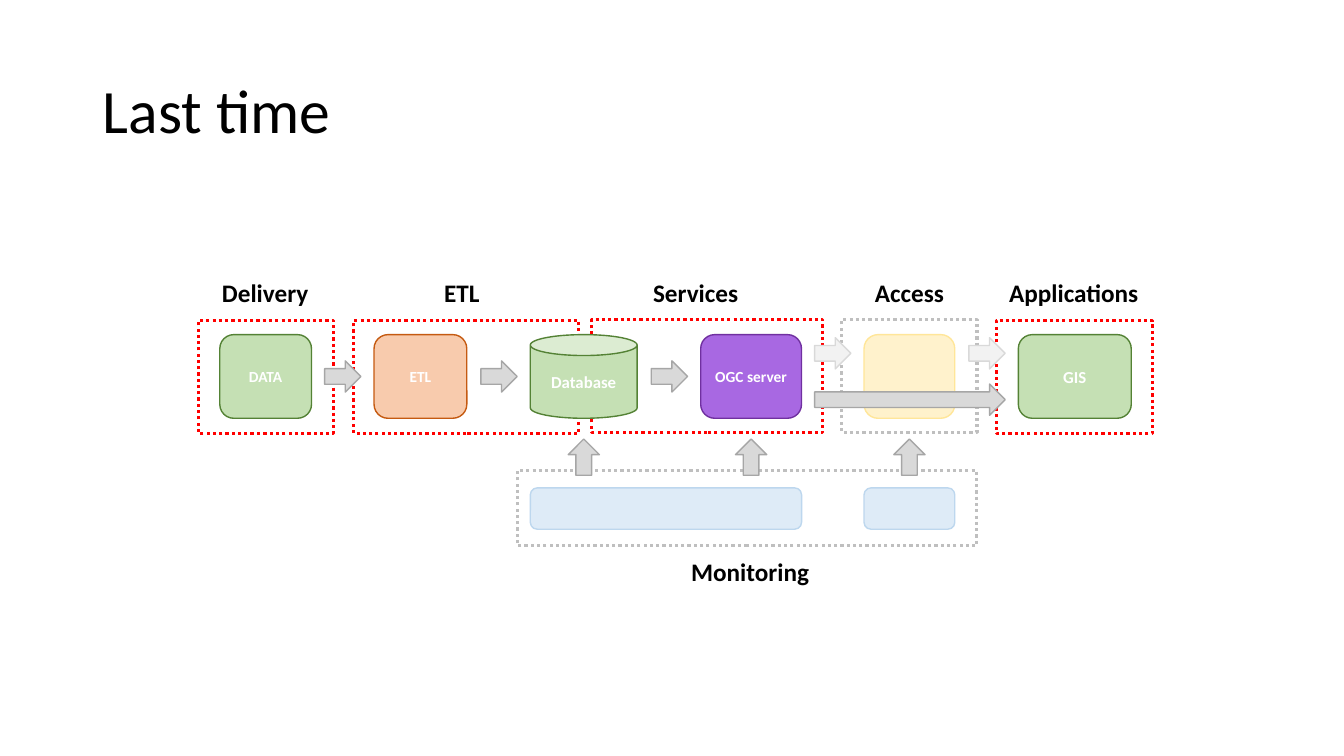
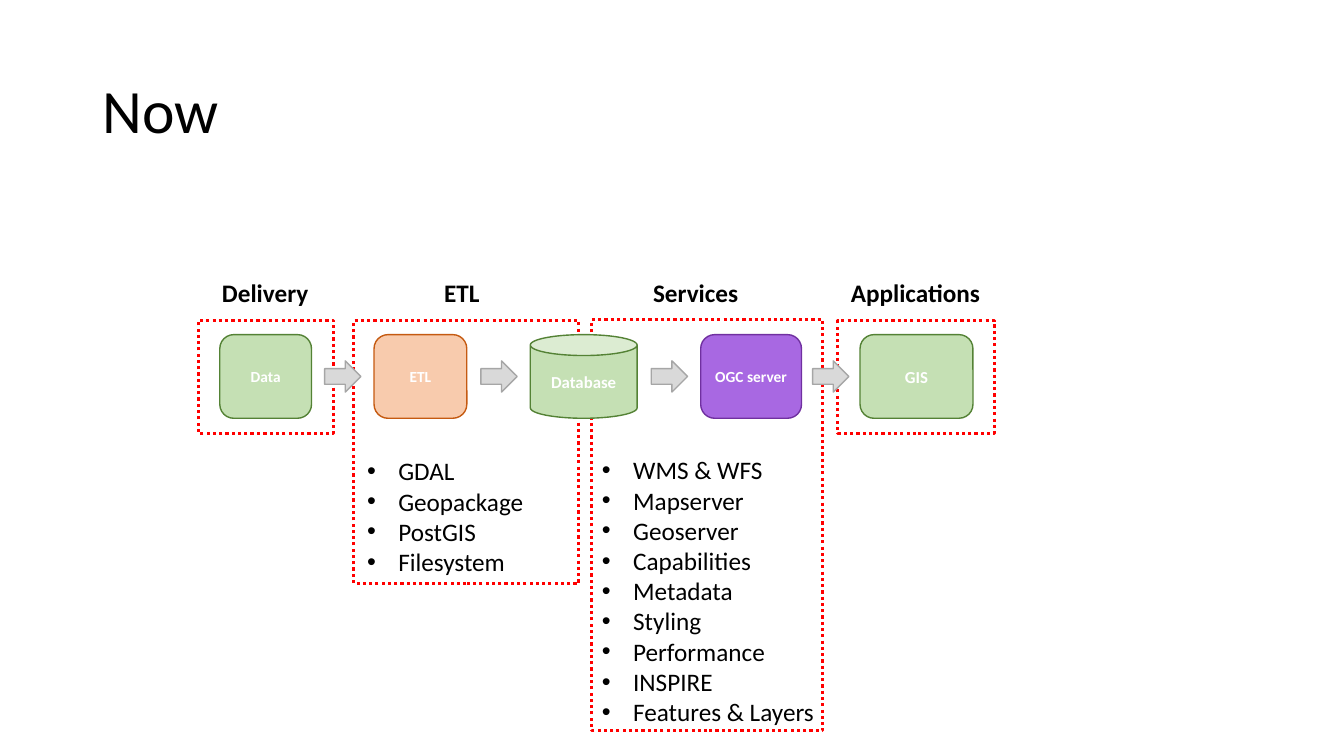
from pptx import Presentation
from pptx.dml.color import RGBColor
from pptx.enum.dml import MSO_LINE
from pptx.enum.shapes import MSO_SHAPE
from pptx.enum.text import MSO_ANCHOR, MSO_AUTO_SIZE, PP_ALIGN
from pptx.util import Inches, Pt
from lxml import etree

RECT, ROUND = MSO_SHAPE.RECTANGLE, MSO_SHAPE.ROUNDED_RECTANGLE
CAN, ARROW = MSO_SHAPE.CAN, MSO_SHAPE.RIGHT_ARROW
DOTS = MSO_LINE.ROUND_DOT
LEFT, CENTER = PP_ALIGN.LEFT, PP_ALIGN.CENTER
TOP, MIDDLE = MSO_ANCHOR.TOP, MSO_ANCHOR.MIDDLE
FIXED = MSO_AUTO_SIZE.NONE

FONT = "Calibri"
BLACK, WHITE, RED, GREY = "000000", "FFFFFF", "FF0000", "BFBFBF"
# Fill and line pairs
GREEN = ("C5E0B4", "548235")
PEACH = ("F8CBAD", "C55A11")
PURPLE = ("A868E2", "7030A0")
CREAM = ("FFF2CC", "FFE699")
BLUE = ("DEEBF7", "BDD7EE")
SOLID = ("D9D9D9", "A6A6A6")
FAINT = ("F2F2F2", "D9D9D9")

TITLE_BOX = (0.92, 0.4, 11.5, 1.45)
ORIGIN = (1.97, 2.7)              # top left of the flow diagram
FRAME_Y, NODE_Y, ARROW_Y = 0.48, 0.62, 0.88
FRAME_W, FRAME_H, NODE_H = 1.34, 1.12, 0.83
ARROW_W, ARROW_H = 0.36, 0.31


def color(code):
    return RGBColor.from_string(code)


def place(shape, box):
    shape.left, shape.top, shape.width, shape.height = map(Inches, box)


def style(frame, size, bold=False, ink=BLACK, align=LEFT, space=1.0):
    for para in frame.paragraphs:
        para.alignment = align
        para.line_spacing = space
        para.space_before = para.space_after = Pt(0)
        for run in para.runs:
            font = run.font
            font.name, font.size, font.bold = FONT, Pt(size), bold
            font.color.rgb = color(ink)


def draw(slide, kind, box, paint, text="", size=12):
    shape = slide.shapes.add_shape(kind, *map(Inches, box))
    shape.shadow.inherit = False
    fill, line = paint
    shape.fill.solid()
    shape.fill.fore_color.rgb = color(fill)
    shape.line.color.rgb = color(line)
    shape.line.width = Pt(1)
    if text:
        frame = shape.text_frame
        frame.margin_left = frame.margin_right = 0
        frame.vertical_anchor = MIDDLE
        frame.text = text
        style(frame, size, True, WHITE, CENTER)
    return shape


def border(slide, box, ink):
    shape = slide.shapes.add_shape(RECT, *map(Inches, box))
    shape.shadow.inherit = False
    shape.fill.background()
    shape.line.color.rgb = color(ink)
    shape.line.width = Pt(2.25)
    shape.line.dash_style = DOTS


def label(slide, mid, top, text, width=1.6):
    box = slide.shapes.add_textbox(*map(Inches, (mid - width / 2, top, width, 0.4)))
    frame = box.text_frame
    frame.word_wrap = True
    frame.text = text
    style(frame, 18, True, align=CENTER)


def arrow(slide, left, top, paint=SOLID, width=ARROW_W):
    return draw(slide, ARROW, (left, top, width, ARROW_H), paint)


def title(slide, text):
    shape = slide.shapes.title
    place(shape, TITLE_BOX)
    frame = shape.text_frame
    frame.auto_size, frame.vertical_anchor = FIXED, MIDDLE
    frame.text = text
    style(frame, 44, space=0.9)


def bullets(shape, box, items):
    place(shape, box)
    frame = shape.text_frame
    frame.auto_size, frame.vertical_anchor = FIXED, TOP
    frame.word_wrap = False
    frame.text = "\n".join(items)
    style(frame, 18)
    for para in frame.paragraphs:
        props = para._p.get_or_add_pPr()
        props.set("marL", str(Inches(0.31)))
        props.set("indent", str(-Inches(0.31)))
        ns = props.nsmap["a"]
        etree.SubElement(props, f"{{{ns}}}buFont", typeface="Arial")
        etree.SubElement(props, f"{{{ns}}}buChar", char="•")


def flow(slide, origin, data, apps, etl_h=FRAME_H, serve_h=FRAME_H):
    """Delivery, ETL, services and, from offset apps, applications."""
    x, y = origin
    # Dotted frames: left, top, width, height
    for left, top, width, high in (
            (0, FRAME_Y, FRAME_W, FRAME_H), (1.54, FRAME_Y, 2.23, etl_h),
            (3.9, FRAME_Y - 0.01, 2.29, serve_h), (apps, FRAME_Y, 1.55, FRAME_H)):
        border(slide, (x + left, y + top, width, high), RED)
    # Nodes
    for kind, left, width, paint, text, size in (
            (ROUND, 0.21, 0.91, GREEN, data, 11),
            (ROUND, 1.74, 0.92, PEACH, "ETL", 11),
            (CAN, 3.29, 1.06, GREEN, "Database", 12),
            (ROUND, 4.98, 1, PURPLE, "OGC server", 11),
            (ROUND, apps + 0.22, 1.12, GREEN, "GIS", 12)):
        draw(slide, kind, (x + left, y + NODE_Y, width, NODE_H), paint, text, size)
    # Arrows between nodes
    for left in (1.25, 2.8, 4.49):
        arrow(slide, x + left, y + ARROW_Y)
    # Headings
    for mid, text in ((0.66, "Delivery"), (2.61, "ETL"), (4.93, "Services"),
                      (apps + 0.77, "Applications")):
        label(slide, x + mid, y, text)


def access(slide, left, top):
    """Faded access stage with the arrow that passes it by."""
    border(slide, (left, top + FRAME_Y - 0.01, FRAME_W, FRAME_H), GREY)
    draw(slide, ROUND, (left + 0.22, top + NODE_Y, 0.9, NODE_H), CREAM)
    label(slide, left + 0.67, top, "Access")
    for step in (-0.27, 1.26):
        arrow(slide, left + step, top + 0.65, FAINT)
    arrow(slide, left - 0.27, top + 1.11, width=1.89)


def monitor(slide, left, top):
    """Monitoring tools with arrows up to the flow."""
    border(slide, (left, top, 4.56, 0.74), GREY)
    for step, width in ((0.13, 2.69), (3.44, 0.9)):
        draw(slide, ROUND, (left + step, top + 0.17, width, 0.41), BLUE)
    for step in (0.48, 2.14, 3.71):
        arrow(slide, left + step, top - 0.29).rotation = 270
    label(slide, left + 2.31, top + 0.8, "Monitoring")


def last(deck):
    slide = deck.slides.add_slide(deck.slide_layouts[5])
    title(slide, "Last time")
    flow(slide, ORIGIN, "DATA", 7.91)
    access(slide, 8.35, ORIGIN[1])
    monitor(slide, 5.13, 4.67)


def now(deck):
    slide = deck.slides.add_slide(deck.slide_layouts[3])
    title(slide, "Now")
    flow(slide, ORIGIN, "Data", 6.34, 2.61, 4.08)
    arrow(slide, 8.06, ORIGIN[1] + ARROW_Y)
    # Topic lists
    tools, serve = list(slide.placeholders)[1:]
    bullets(tools, (3.54, 4.47, 1.77, 1.31),
            ("GDAL", "Geopackage", "PostGIS", "Filesystem"))
    bullets(serve, (5.87, 4.46, 2.33, 2.83),
            ("WMS & WFS", "Mapserver", "Geoserver", "Capabilities", "Metadata",
             "Styling", "Performance", "INSPIRE", "Features & Layers"))


def main():
    deck = Presentation()
    deck.slide_width, deck.slide_height = Inches(13.33), Inches(7.5)
    last(deck)
    now(deck)
    deck.save("out.pptx")


if __name__ == "__main__":
    main()
